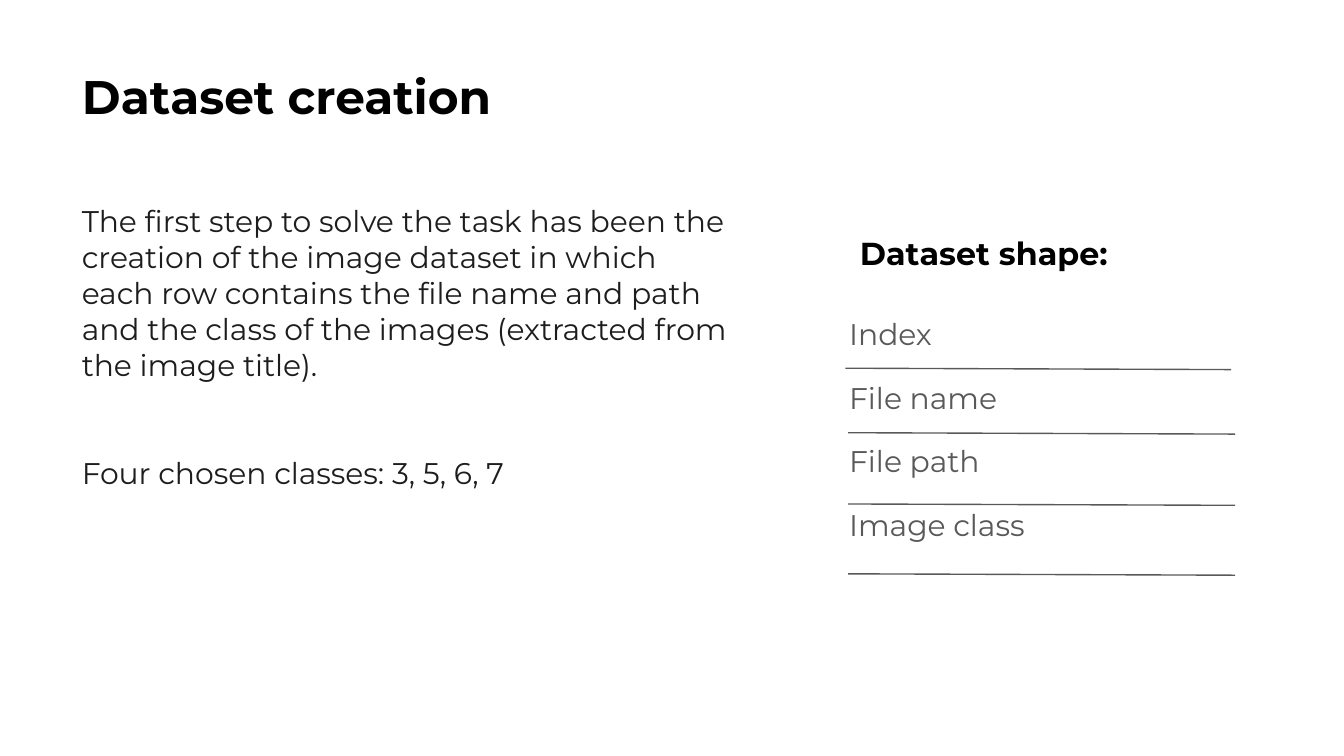
from lxml.etree import SubElement
from pptx import Presentation
from pptx.dml.color import RGBColor
from pptx.enum.shapes import MSO_CONNECTOR as Connector
from pptx.enum.text import MSO_ANCHOR as Anchor, MSO_AUTO_SIZE as AutoSize, PP_ALIGN as Align
from pptx.oxml.ns import qn
from pptx.util import Inches, Pt

SLIDE_WIDTH = Inches(10)
SLIDE_HEIGHT = SLIDE_WIDTH * 9 // 16
FONT = "Montserrat"
BLACK, INK, GREY = "000000", "1E1D1D", "595959"

INTRODUCTION = (
    "The first step to solve the task has been the creation of the image dataset "
    "in which each row contains the file name and path and the class of the images "
    "(extracted from the image title)."
)
CLASSES = "Four chosen classes: 3, 5, 6, 7"
FIELDS = ["Index", "File name", "File path", "Image class"]
# Left end, right end and starting height of the rule under each field
RULES = [(6.29, 9.16, 2.74), (6.31, 9.19, 3.22), (6.31, 9.19, 3.75), (6.31, 9.19, 4.27)]
RULE_DROP = 0.01


def rgb(color):
    return RGBColor.from_string(color)


def apply_format(target, values):
    for name, value in values.items():
        setattr(target, name, value)


def write_text(shape, texts, size, color, bold=False, spacing=None, auto_size=AutoSize.NONE):
    """Fill a shape with one paragraph per text, all in the same style."""
    frame = shape.text_frame
    margins = {f"margin_{side}": Inches(0.1) for side in ("left", "top", "right", "bottom")}
    apply_format(frame, {"word_wrap": True, "auto_size": auto_size,
                         "vertical_anchor": Anchor.TOP, **margins})
    for index, text in enumerate(texts):
        paragraph = frame.add_paragraph() if index else frame.paragraphs[0]
        apply_format(paragraph, {"alignment": Align.LEFT, **(spacing or {})})
        run = paragraph.add_run()
        run.text = text
        apply_format(run.font, {"name": FONT, "size": Pt(size), "bold": bold})
        run.font.color.rgb = rgb(color)
    return frame.paragraphs


def add_title(slide, text):
    title = slide.shapes.title
    box = {"left": 0.51, "top": 0.4, "width": 9.32, "height": 0.63}
    apply_format(title, {name: Inches(value) for name, value in box.items()})
    write_text(title, [text], 25.2, BLACK, bold=True)


def add_text(slide, box, texts, size, color, **style):
    shape = slide.shapes.add_textbox(*map(Inches, box))
    return write_text(shape, texts, size, color, **style)


def add_rule(slide, left, right, top):
    ends = map(Inches, (left, top, right, top + RULE_DROP))
    rule = slide.shapes.add_connector(Connector.STRAIGHT, *ends)
    rule.line.color.rgb = rgb(GREY)
    rule.line.width = Pt(0.75)
    SubElement(rule._element.spPr, qn("a:effectLst"))


def main():
    presentation = Presentation()
    apply_format(presentation, {"slide_width": SLIDE_WIDTH, "slide_height": SLIDE_HEIGHT})
    slide = presentation.slides.add_slide(presentation.slide_layouts[5])

    add_title(slide, "Dataset creation")
    fields = add_text(slide, (6.22, 2.21, 3.17, 2.47), FIELDS, 16, GREY,
                      spacing={"line_spacing": 1.15, "space_before": Pt(12)})
    fields[-1].space_after = Pt(12)
    for rule in reversed(RULES):
        add_rule(slide, *rule)

    paragraphs = add_text(slide, (0.51, 1.41, 5.01, 2.51), [INTRODUCTION, CLASSES], 16, INK,
                          auto_size=AutoSize.SHAPE_TO_FIT_TEXT)
    apply_format(paragraphs[1], {"space_before": Pt(39), "space_after": Pt(10)})
    add_text(slide, (6.3, 1.64, 2.64, 0.49), ["Dataset shape:"], 17, BLACK, bold=True,
             auto_size=AutoSize.SHAPE_TO_FIT_TEXT)

    presentation.save("out.pptx")


if __name__ == "__main__":
    main()
